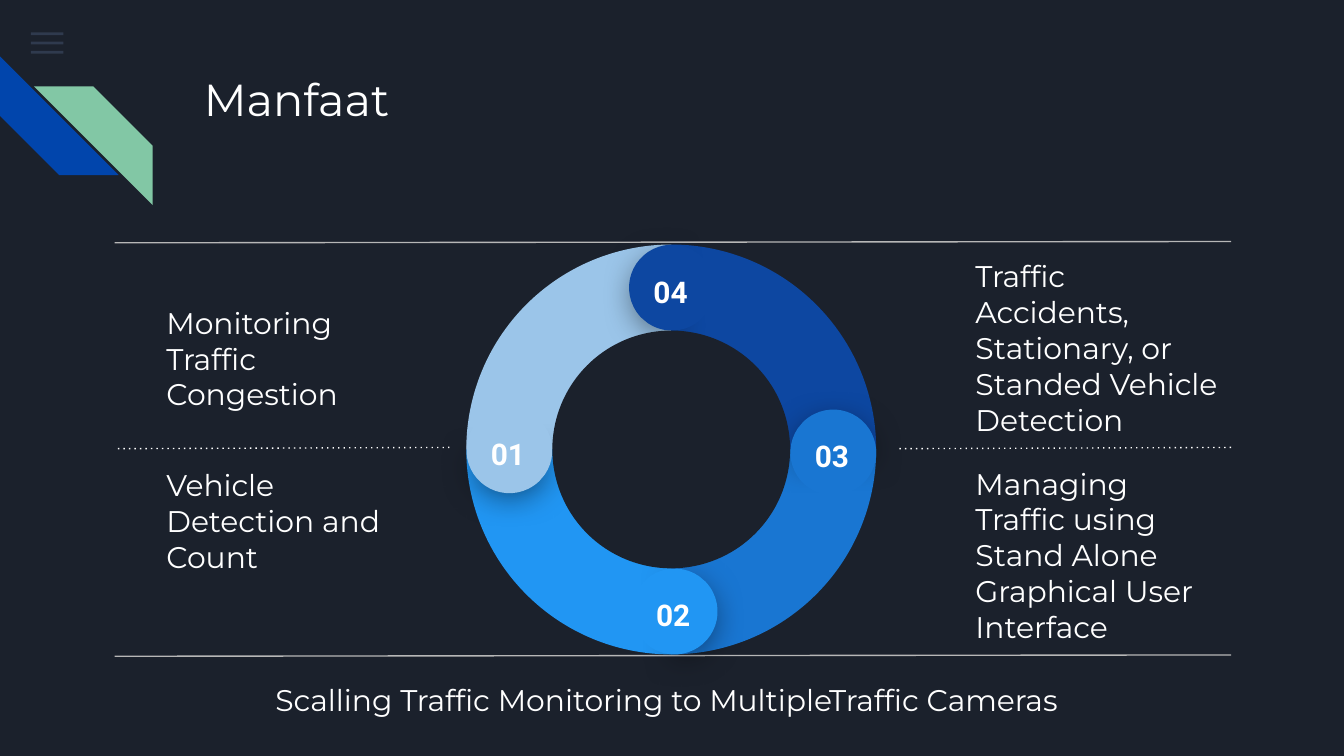
from typing import NamedTuple

from lxml import etree
from pptx import Presentation
from pptx.dml.color import RGBColor
from pptx.enum.dml import MSO_LINE
from pptx.enum.shapes import MSO_CONNECTOR, MSO_SHAPE
from pptx.enum.text import MSO_ANCHOR, PP_ALIGN
from pptx.oxml.ns import qn
from pptx.util import Pt

RECTANGLE = MSO_SHAPE.RECTANGLE
STRIPE = MSO_SHAPE.DIAGONAL_STRIPE
PIE = MSO_SHAPE.PIE
CHORD = MSO_SHAPE.CHORD
OVAL = MSO_SHAPE.OVAL
STRAIGHT = MSO_CONNECTOR.STRAIGHT
DOTTED = MSO_LINE.ROUND_DOT
TOP, MIDDLE = MSO_ANCHOR.TOP, MSO_ANCHOR.MIDDLE
LEFT, CENTER = PP_ALIGN.LEFT, PP_ALIGN.CENTER

NIGHT = RGBColor(0x1B, 0x21, 0x2C)
SLATE = RGBColor(0x55, 0x68, 0x8B)
COBALT = RGBColor(0x01, 0x45, 0xAC)
MINT = RGBColor(0x82, 0xC7, 0xA5)
WHITE = RGBColor(0xFF, 0xFF, 0xFF)
GRAY = RGBColor(0xB7, 0xB7, 0xB7)
PALE_BLUE = RGBColor(0x9B, 0xC5, 0xE9)
NAVY = RGBColor(0x0D, 0x47, 0xA1)
MID_BLUE = RGBColor(0x19, 0x76, 0xD2)
SKY = RGBColor(0x21, 0x96, 0xF3)

RING_X, RING_Y = 359.6, 240.8
RING_SIZE, HOLE_SIZE = 219.6, 127.4
CAP_SIZE, CAP_SHADOW_SIZE = 46, 41
QUARTER = (107.957, 162.013)
HALF = (189.535, 83.81)
NEARLY_FULL = (25.006, 18.12)


class Segment(NamedTuple):
    number: str
    color: RGBColor
    turn: float
    cap_x: float
    cap_y: float


class Benefit(NamedTuple):
    text: str
    left: float
    top: float
    width: float = 146.2


class Rule(NamedTuple):
    left: float
    right: float
    top: float
    color: RGBColor
    dotted: bool


SEGMENTS = [
    Segment("01", PALE_BLUE, 0, 272.9, 241.2),
    Segment("04", NAVY, 90, 360, 154.1),
    Segment("03", MID_BLUE, 180, 446.4, 242.4),
    Segment("02", SKY, 270, 361.4, 327.6),
]
BENEFITS = [
    Benefit("Monitoring Traffic Congestion", 82.1, 174.2),
    Benefit("Vehicle Detection and Count", 82.1, 261.4),
    Benefit("Traffic Accidents, Stationary, or Standed Vehicle Detection", 515.5, 168.5),
    Benefit("Managing Traffic using Stand Alone Graphical User Interface", 515.5, 279.6),
    Benefit("Scalling Traffic Monitoring to MultipleTraffic Cameras", 140.4, 357.4, 436.3),
]
RULES = [
    Rule(61.4, 659.5, 129.4, GRAY, False),
    Rule(62.6, 240.8, 239.7, WHITE, True),
    Rule(481.5, 659.5, 239.7, WHITE, True),
    Rule(61.4, 659.5, 350.9, GRAY, False),
]


def add_filled(slide, kind, left: float, top: float, width: float, height: float,
               color: RGBColor, turn: float = 0, adjustments: tuple = ()):
    shape = slide.shapes.add_shape(kind, Pt(left), Pt(top), Pt(width), Pt(height))
    shape.shadow.inherit = False
    shape.fill.solid()
    shape.fill.fore_color.rgb = color
    shape.line.fill.background()
    shape.rotation = turn % 360
    for index, value in enumerate(adjustments):
        shape.adjustments[index] = value
    return shape


def add_centered(slide, kind, x: float, y: float, size: float, color: RGBColor,
                 turn: float = 0, adjustments: tuple = ()):
    return add_filled(slide, kind, x - size / 2, y - size / 2, size, size,
                      color, turn, adjustments)


def set_alpha(color_element, percent: int) -> None:
    etree.SubElement(color_element, qn("a:alpha"), val=str(percent * 1000))


def cast_shadow(shape) -> None:
    effects = shape._element.spPr.find(qn("a:effectLst"))
    shadow = etree.SubElement(effects, qn("a:outerShdw"), blurRad=str(Pt(18)),
                              dist=str(Pt(4)), dir="5400000", algn="bl", rotWithShape="0")
    set_alpha(etree.SubElement(shadow, qn("a:srgbClr"), val="000000"), 55)


def add_text(slide, text: str, *, left: float, top: float, width: float, height: float,
             size: float = 16, font: str = "Montserrat", bold: bool = False,
             align=LEFT, anchor=MIDDLE) -> None:
    frame = slide.shapes.add_textbox(Pt(left), Pt(top), Pt(width), Pt(height)).text_frame
    frame.word_wrap = True
    frame.vertical_anchor = anchor
    frame.margin_left = frame.margin_right = Pt(7.2)
    frame.margin_top = frame.margin_bottom = Pt(7.2)
    paragraph = frame.paragraphs[0]
    paragraph.alignment = align
    run = paragraph.add_run()
    run.text = text
    run.font.name = font
    run.font.size = Pt(size)
    run.font.bold = bold
    run.font.color.rgb = WHITE


def add_rule(slide, rule: Rule) -> None:
    connector = slide.shapes.add_connector(
        STRAIGHT, Pt(rule.right), Pt(rule.top), Pt(rule.left), Pt(rule.top + 0.7))
    connector.line.color.rgb = rule.color
    connector.line.width = Pt(0.75)
    properties = connector._element.spPr
    if rule.dotted:
        connector.line.dash_style = DOTTED
        properties.find(".//" + qn("a:prstDash")).set("val", "dot")
    etree.SubElement(properties, qn("a:effectLst"))


def add_cap(slide, segment: Segment) -> None:
    x, y, color = segment.cap_x, segment.cap_y, segment.color
    cast_shadow(add_centered(slide, PIE, x, y, CAP_SHADOW_SIZE, color,
                             segment.turn + 39.5, HALF))
    add_centered(slide, CHORD, x, y, CAP_SIZE, color, segment.turn + 4.1, NEARLY_FULL)
    add_text(slide, segment.number, left=x - 20.9, top=y - 14.9, width=40.3, height=20.9,
             font="Roboto", bold=True, align=CENTER, anchor=TOP)


def main() -> None:
    presentation = Presentation()
    presentation.slide_width, presentation.slide_height = Pt(720), Pt(405)
    slide = presentation.slides.add_slide(presentation.slide_layouts[6])
    slide.background.fill.solid()
    slide.background.fill.fore_color.rgb = NIGHT

    for row in range(3):
        menu_bar = add_filled(slide, RECTANGLE, 16.6, 17.4 + row * 4.9, 17.4, 1.5, SLATE)
        set_alpha(menu_bar._element.spPr.find(".//" + qn("a:srgbClr")), 36)
    add_filled(slide, STRIPE, 0, 30.2, 63.6, 63.6, COBALT, 270, (0.5,))
    add_filled(slide, STRIPE, 18.2, 46.3, 63.6, 63.6, MINT, 90, (0.5,))

    add_text(slide, "Manfaat", left=102.2, top=31, width=554.4, height=72,
             size=24, anchor=TOP)
    for benefit in BENEFITS:
        add_text(slide, benefit.text, left=benefit.left, top=benefit.top,
                 width=benefit.width, height=35.3)
    for rule in RULES:
        add_rule(slide, rule)

    for segment in SEGMENTS:
        add_centered(slide, PIE, RING_X, RING_Y, RING_SIZE, segment.color,
                     segment.turn, QUARTER)
    for segment in SEGMENTS:
        add_cap(slide, segment)
    add_centered(slide, OVAL, RING_X, RING_Y, HOLE_SIZE, NIGHT)

    presentation.save("out.pptx")


if __name__ == "__main__":
    main()
